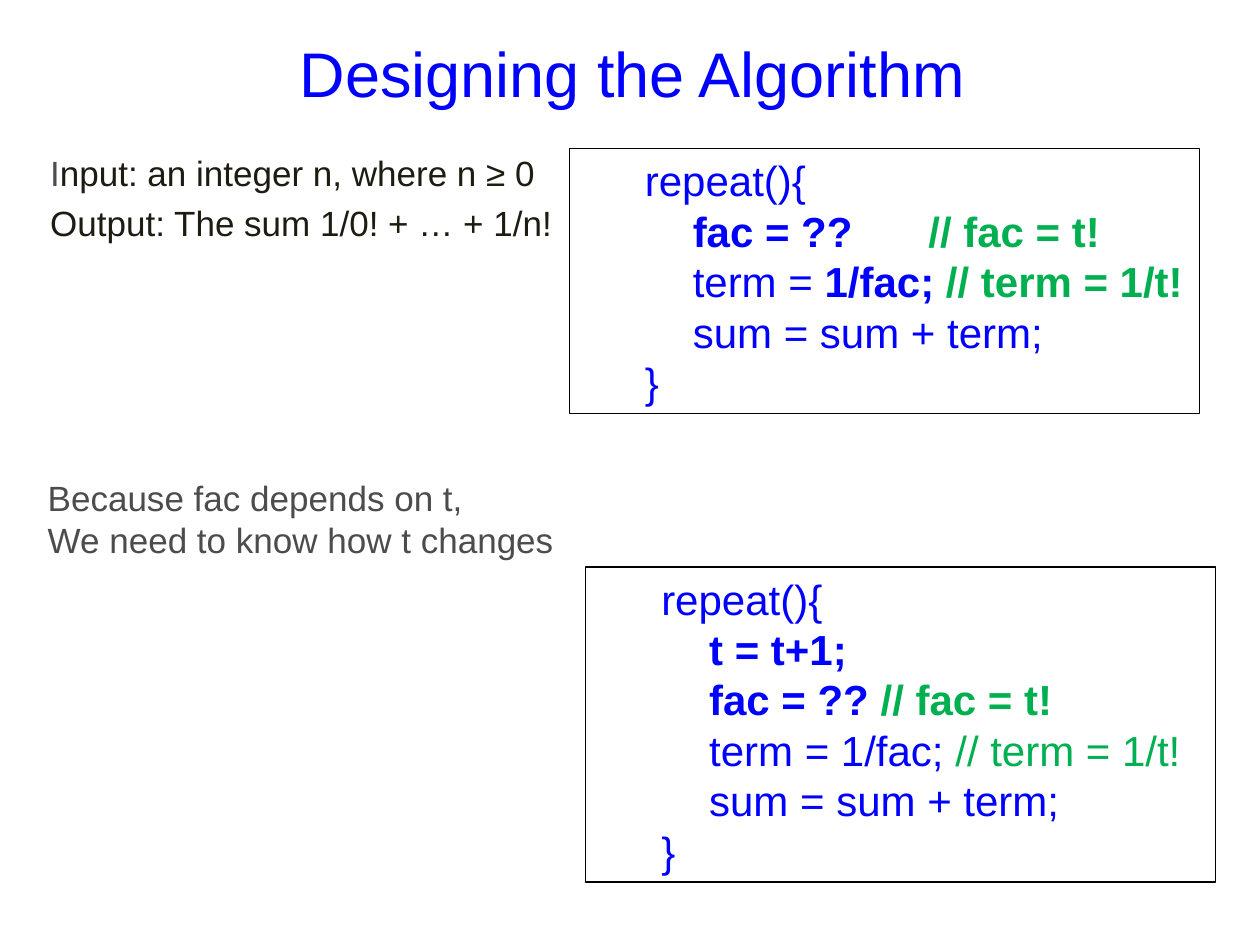
import dataclasses

import pptx
import pptx.dml.color
import pptx.enum.shapes
import pptx.enum.text
import pptx.oxml
import pptx.oxml.ns
import pptx.util

ALIGN = pptx.enum.text.PP_ALIGN
ANCHOR = pptx.enum.text.MSO_ANCHOR
FIT = pptx.enum.text.MSO_AUTO_SIZE


def rgb(code):
    return pptx.dml.color.RGBColor.from_string(code)


@dataclasses.dataclass(frozen=True)
class Theme:
    face: str = "Arial"
    head: int = 36
    body: int = 20
    code: int = 24
    blue: str = "0000FF"
    green: str = "00B050"
    gray: str = "4C4C4C"
    dark: str = "1E1C11"
    black: str = "000000"


class Deck:
    """Places elements on a grid of 100 columns and 75 rows."""

    def __init__(self, theme):
        self.theme = theme
        self.show = pptx.Presentation()
        self.show.slide_width = pptx.util.Inches(10)
        self.show.slide_height = pptx.util.Inches(7.5)
        self.slide = self.show.slides.add_slide(self.show.slide_layouts[6])

    def place(self, col, row, cols, rows):
        wide, high = self.show.slide_width / 100, self.show.slide_height / 75
        return [round(n) for n in (col * wide, row * high, cols * wide, rows * high)]

    def fill(self, para, runs, size):
        """Fill a paragraph with runs of (text, colour, bold)."""
        para.font.name = self.theme.face
        para.font.size = pptx.util.Pt(size)
        tones = {tone for _, tone, _ in runs}
        bolds = {bold for _, _, bold in runs}
        if len(tones) == 1:
            para.font.color.rgb = rgb(runs[0][1])
        if len(bolds) == 1:
            para.font.bold = runs[0][2]
        for text, tone, bold in runs:
            run = para.add_run()
            run.text = text
            if len(tones) > 1:
                run.font.color.rgb = rgb(tone)
            if len(bolds) > 1:
                run.font.bold = bold

    def paras(self, frame, count):
        return [frame.paragraphs[0]] + [frame.add_paragraph() for _ in range(count - 1)]

    def text(self, spot, lines, size, gap=0, align=ALIGN.LEFT, anchor=ANCHOR.TOP, wrap=True):
        frame = self.slide.shapes.add_textbox(*self.place(*spot)).text_frame
        frame.word_wrap = wrap
        frame.vertical_anchor = anchor
        for i, (para, runs) in enumerate(zip(self.paras(frame, len(lines)), lines)):
            para.alignment = align
            if i and gap:
                para.space_before = pptx.util.Pt(gap)
            self.fill(para, runs, size)

    def tabs(self, para):
        """Set the hanging indent and tab stops of a code line."""
        props = para._p.get_or_add_pPr()
        props.set("marL", str(pptx.util.Inches(0.88)))
        props.set("indent", str(pptx.util.Inches(-0.38)))
        stops = pptx.oxml.parse_xml(f"<a:tabLst {pptx.oxml.ns.nsdecls('a')}/>")
        for half in (0, *range(2, 9)):
            stop = stops.makeelement(pptx.oxml.ns.qn("a:tab"))
            stop.set("pos", str(pptx.util.Inches(half / 2)))
            stop.set("algn", "l")
            stops.append(stop)
        props.append(stops)

    def code(self, spot, lines):
        kind = pptx.enum.shapes.MSO_SHAPE.RECTANGLE
        box = self.slide.shapes.add_shape(kind, *self.place(*spot))
        box.shadow.inherit = False
        box.fill.background()
        box.line.color.rgb = rgb(self.theme.black)
        box.line.width = pptx.util.Pt(0.75)
        frame = box.text_frame
        frame.word_wrap = True
        frame.auto_size = FIT.SHAPE_TO_FIT_TEXT
        frame.vertical_anchor = ANCHOR.TOP
        for para, runs in zip(self.paras(frame, len(lines)), lines):
            para.level = 1
            para.alignment = ALIGN.LEFT
            self.tabs(para)
            self.fill(para, runs, self.theme.code)


def main():
    theme = Theme()
    deck = Deck(theme)

    def plain(text, tone=theme.blue):
        return text, tone, False

    def strong(text, tone=theme.blue):
        return text, tone, True

    start, end = [plain("repeat(){")], [plain("}")]
    total = [plain("\tsum = sum + term;")]
    fac, term = "// fac = t!", "// term = 1/t!"

    deck.text((5.2, 1.5, 90, 8.5), [[plain("Designing the Algorithm")]],
              theme.head, align=ALIGN.CENTER, anchor=ANCHOR.MIDDLE)
    deck.text((3, 11.5, 96.1, 62), [
        [plain("I", theme.gray), plain("nput: an integer n, where n ≥ 0", theme.dark)],
        [plain("Output: The sum 1/0! + … + 1/n!", theme.dark)],
    ], theme.body, gap=5)
    deck.code((46.5, 45, 50, 25), [
        start,
        [strong("\tt = t+1;")],
        [strong("\tfac = ?? "), strong(fac, theme.green)],
        [plain("\tterm = 1/fac; "), plain(term, theme.green)],
        total,
        end,
    ])
    deck.code((45.2, 11.8, 50, 21), [
        start,
        [strong("\tfac = ?? \t    "), strong(fac, theme.green)],
        [plain("\tterm = "), strong("1/fac; "), strong(term, theme.green)],
        total,
        end,
    ])
    deck.text((2.8, 37.3, 42.2, 7.7), [
        [plain("Because fac depends on t,", theme.gray)],
        [plain("We need to know how t changes", theme.gray)],
    ], theme.body, wrap=False)
    deck.show.save("out.pptx")


if __name__ == "__main__":
    main()
